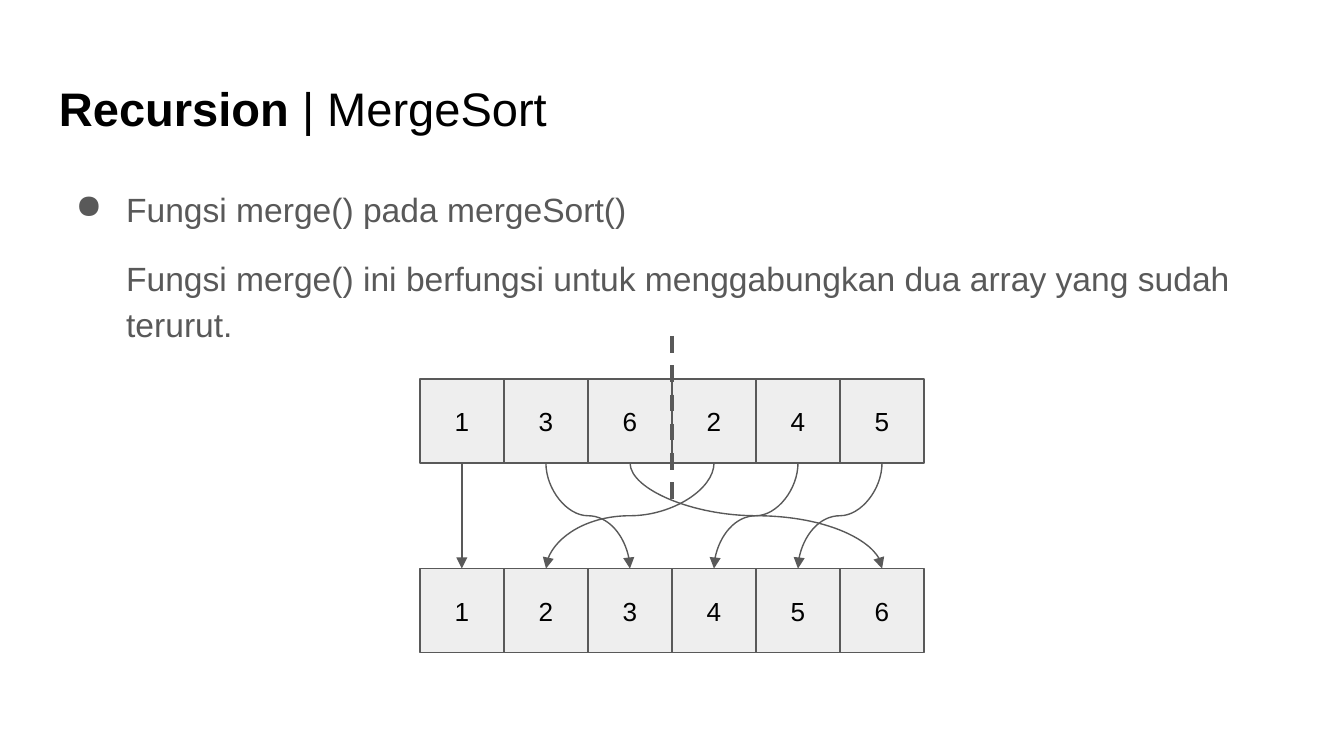
from typing import NamedTuple

from lxml import etree
from pptx import Presentation
from pptx import util as u
from pptx.dml.color import RGBColor
from pptx.enum import dml, shapes, text
from pptx.oxml import ns

Pt = u.Pt
BLACK = RGBColor(0x00, 0x00, 0x00)
GRAY = RGBColor(0x59, 0x59, 0x59)
LIGHT = RGBColor(0xEE, 0xEE, 0xEE)
FONT = "Arial"

CELL = 45
ARRAY_LEFT = 225
TEXT_LEFT, TEXT_WIDTH = 24.5, 671
INSET = 7.2


class ArrayRow(NamedTuple):
    top: float
    values: list[int]


HALVES = ArrayRow(203, [1, 3, 6, 2, 4, 5])
MERGED = ArrayRow(304.6, sorted(HALVES.values))
ARROW_ORDER = [1, 2, 3, 4, 5, 6]


def add_child(parent, tag: str, **attributes: str):
    return etree.SubElement(parent, ns.qn(tag), attributes)


def set_font(font, size: float, color: RGBColor, bold: bool = False) -> None:
    font.name, font.size, font.bold = FONT, Pt(size), bold
    font.color.rgb = color


def set_insets(frame) -> None:
    frame.word_wrap = True
    frame.margin_left = frame.margin_right = Pt(INSET)
    frame.margin_top = frame.margin_bottom = Pt(INSET)


def add_text_frame(page, top: float, height: float):
    box = page.shapes.add_textbox(Pt(TEXT_LEFT), Pt(top), Pt(TEXT_WIDTH), Pt(height))
    set_insets(box.text_frame)
    return box.text_frame


def add_title(page) -> None:
    para = add_text_frame(page, 35.3, 45).paragraphs[0]
    for words, bold in (("Recursion ", True), ("| MergeSort", False)):
        span = para.add_run()
        span.text = words
        set_font(span.font, 25.2, BLACK, bold)


def add_body(page) -> None:
    frame = add_text_frame(page, 90.7, 269)
    frame.text = (
        "Fungsi merge() pada mergeSort()\n"
        "Fungsi merge() ini berfungsi untuk menggabungkan dua array yang sudah terurut."
    )
    bullet_para, detail_para = frame.paragraphs
    for para, indent in ((bullet_para, -27), (detail_para, 0)):
        para.line_spacing = 1.15
        props = para._p.get_or_add_pPr()
        props.set("marL", str(Pt(36)))
        props.set("indent", str(Pt(indent)))
    detail_para.space_before = Pt(12)

    props = bullet_para._p.get_or_add_pPr()
    add_child(add_child(props, "a:buClr"), "a:srgbClr", val=str(GRAY))
    add_child(props, "a:buChar", char="●")
    add_child(detail_para._p.get_or_add_pPr(), "a:buNone")
    for para in frame.paragraphs:
        set_font(para.runs[0].font, 18, GRAY)


def add_array(page, row: ArrayRow) -> list:
    cells = []
    for column, value in enumerate(row.values):
        cell = page.shapes.add_shape(
            shapes.MSO_SHAPE.RECTANGLE,
            Pt(ARRAY_LEFT + column * CELL), Pt(row.top), Pt(CELL), Pt(CELL),
        )
        cell.shadow.inherit = False
        cell.fill.solid()
        cell.fill.fore_color.rgb = LIGHT
        cell.line.color.rgb = GRAY
        cell.line.width = Pt(0.75)
        frame = cell.text_frame
        set_insets(frame)
        frame.vertical_anchor = text.MSO_ANCHOR.MIDDLE
        frame.text = str(value)
        para = frame.paragraphs[0]
        para.alignment = text.PP_ALIGN.CENTER
        set_font(para.runs[0].font, 14, BLACK)
        cells.append(cell)
    return cells


def style_line(connector, width: float) -> None:
    connector.line.color.rgb = GRAY
    connector.line.width = Pt(width)
    add_child(connector._element.spPr, "a:effectLst")


def add_divider(page) -> None:
    middle = ARRAY_LEFT + CELL * len(HALVES.values) / 2
    divider = page.shapes.add_connector(
        shapes.MSO_CONNECTOR.STRAIGHT, Pt(middle), Pt(180), Pt(middle), Pt(270)
    )
    style_line(divider, 2.25)
    divider.line.dash_style = dml.MSO_LINE.DASH


def add_move_arrow(page, source, target) -> None:
    """Curve from the bottom of source to the top of target, leaving vertically."""
    start_x = source.left + source.width // 2
    end_x = target.left + target.width // 2
    start_y, end_y = source.top + source.height, target.top
    arrow = page.shapes.add_connector(
        shapes.MSO_CONNECTOR.CURVE, start_x, start_y, end_x, end_y
    )
    arrow.begin_connect(source, 2)
    arrow.end_connect(target, 0)

    # The preset curve runs sideways, so its frame is turned a quarter.
    length, spread = end_y - start_y, abs(end_x - start_x)
    arrow.left = (start_x + end_x - length) // 2
    arrow.top = (start_y + end_y - spread) // 2
    arrow.width, arrow.height = length, spread
    leftwards = end_x < start_x
    frame = arrow._element.spPr.find(ns.qn("a:xfrm"))
    frame.set("rot", str((90 if leftwards else 270) * 60000))
    frame.set("flipH", "0" if leftwards else "1")
    frame.set("flipV", "0")

    style_line(arrow, 0.75)
    add_child(arrow.line._get_or_add_ln(), "a:tailEnd", type="triangle")


def main() -> None:
    deck = Presentation()
    deck.slide_width, deck.slide_height = Pt(720), Pt(405)
    page = deck.slides.add_slide(deck.slide_layouts[6])
    add_title(page)
    add_body(page)
    sources = add_array(page, HALVES)
    targets = add_array(page, MERGED)
    add_divider(page)
    for value in ARROW_ORDER:
        add_move_arrow(
            page,
            sources[HALVES.values.index(value)],
            targets[MERGED.values.index(value)],
        )
    deck.save("out.pptx")


if __name__ == "__main__":
    main()
